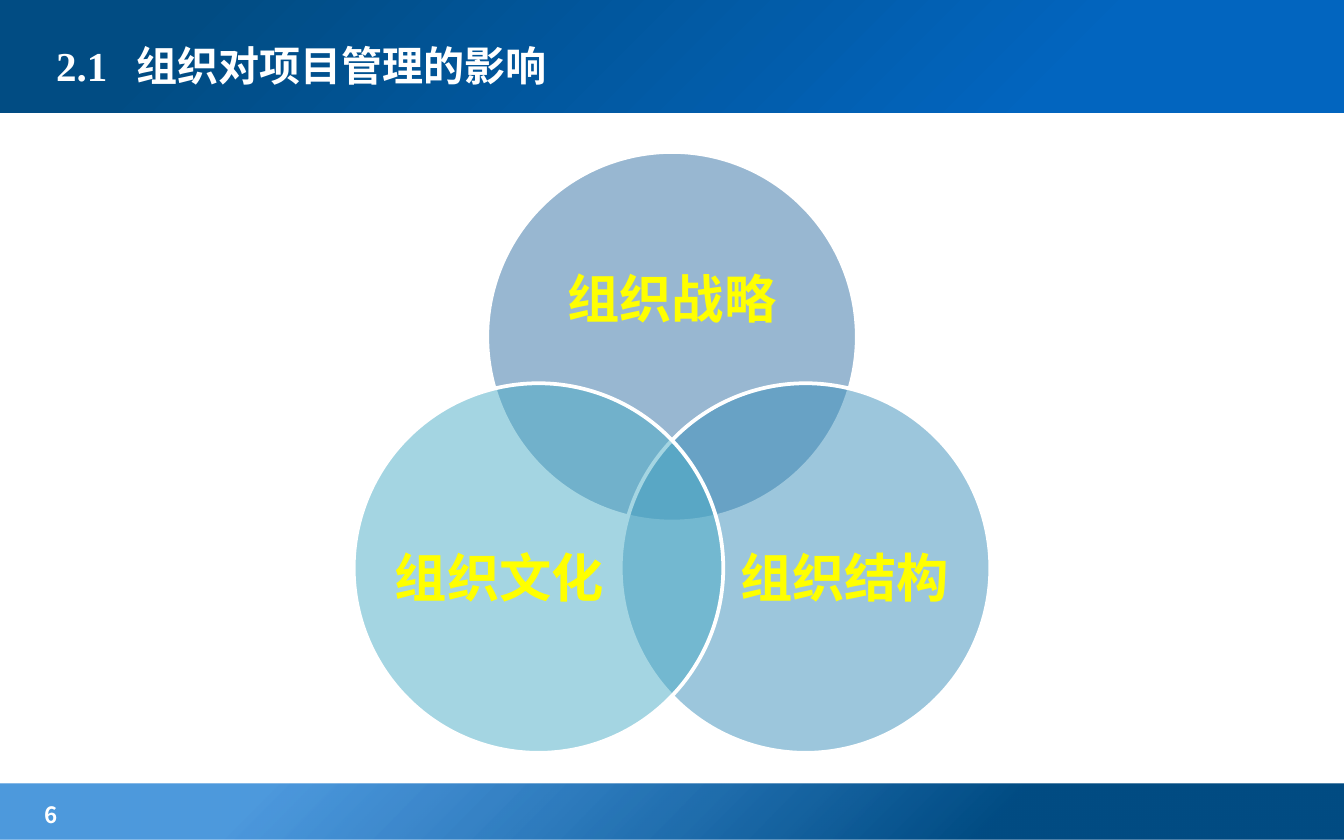
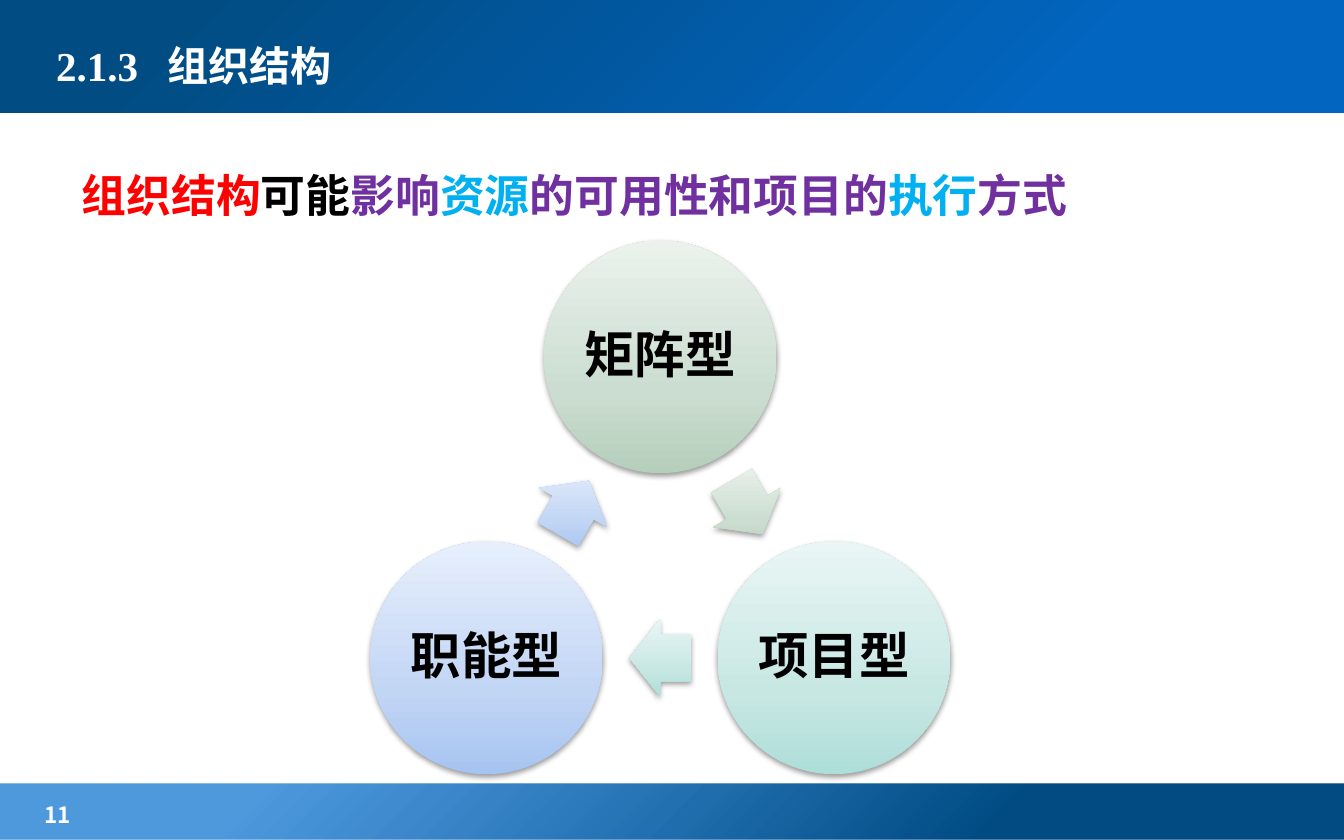
from dataclasses import dataclass
from math import cos, radians, sin
from typing import NamedTuple

from lxml.etree import SubElement
from pptx import Presentation
from pptx.dml.color import RGBColor
from pptx.enum.shapes import MSO_SHAPE
from pptx.enum.text import MSO_ANCHOR, PP_ALIGN
from pptx.oxml.ns import qn
from pptx.util import Pt

WIDTH, HEIGHT = 720, 450
WHITE, BLACK, YELLOW = "FFFFFF", "000000", "FFFF00"
RED, PURPLE, SKY = "FF0000", "7030A0", "00B0F0"
SERIF, SANS, HAN = "Times New Roman", "Lato", "Noto Sans CJK SC"


class Box(NamedTuple):
    left: float
    top: float
    width: float
    height: float

    def lengths(self):
        return [Pt(value) for value in self]


class Point(NamedTuple):
    x: float
    y: float

    def around(self, width: float, height: float) -> Box:
        return Box(self.x - width / 2, self.y - height / 2, width, height)

    def toward(self, angle: float, radius: float) -> "Point":
        turn = radians(angle)
        return Point(self.x + radius * cos(turn), self.y + radius * sin(turn))


class Stop(NamedTuple):
    place: int
    color: str
    alpha: int = 100


class Run(NamedTuple):
    text: str
    color: str


@dataclass(frozen=True)
class Band:
    box: Box
    stops: tuple[Stop, ...]


@dataclass(frozen=True)
class Ring:
    """A see-through circle whose label sits off its centre."""
    label: str
    color: str
    shift: Point
    room: Point


@dataclass(frozen=True)
class Node:
    label: str
    shades: tuple[str, str, str]


BANDS = (
    Band(Box(0, 420, WIDTH, 30), (Stop(26, "014C83"), Stop(80, "026DCE", 70))),
    Band(Box(0, -2, WIDTH, 62.5), (Stop(21, "0265BF"), Stop(86, "014C83"))),
)
RINGS = (
    Ring("组织战略", "3371A4", Point(0, -19), Point(145, 89)),
    Ring("组织结构", "3A8FBA", Point(21, 6.5), Point(119, 109)),
    Ring("组织文化", "4BACC6", Point(-21, 6.5), Point(119, 109)),
)
NODES = (
    Node("矩阵型", ("B5CFBB", "CBDDD0", "EBF2ED")),
    Node("项目型", ("AEDED8", "C7E7E3", "E9F6F5")),
    Node("职能型", ("A6C4F1", "C1D5F4", "E7EFFC")),
)
CLAIM = (
    Run("组织结构", RED), Run("可能", BLACK), Run("影响", PURPLE),
    Run("资源", SKY), Run("的可用性和项目的", PURPLE),
    Run("执行", SKY), Run("方式", PURPLE),
)


def rgb(color: str) -> RGBColor:
    return RGBColor.from_string(color)


def add_node(parent, tag: str, **values):
    return SubElement(parent, qn(f"a:{tag}"),
                      {key: str(value) for key, value in values.items()})


def add_color(parent, color: str, alpha: int):
    add_node(add_node(parent, "srgbClr", val=color), "alpha", val=alpha * 1000)


def add_text(slide, box: Box, runs, *, size: float, color: str = WHITE,
             font: str = SERIF, align=PP_ALIGN.LEFT, anchor=MSO_ANCHOR.TOP,
             inset: float | None = None, spacing: float = 1, tab: float = 0):
    """Write one bold paragraph, from a plain string or a series of runs."""
    frame = slide.shapes.add_textbox(*box.lengths()).text_frame
    frame.word_wrap, frame.vertical_anchor = True, anchor
    if inset is not None:
        frame.margin_left = frame.margin_right = Pt(inset)
        frame.margin_top = frame.margin_bottom = Pt(inset)
    line = frame.paragraphs[0]
    if tab:
        stops = add_node(line._p.get_or_add_pPr(), "tabLst")
        add_node(stops, "tab", pos=Pt(tab), algn="l")
    line.alignment, line.line_spacing = align, spacing
    for part in [Run(runs, color)] if isinstance(runs, str) else runs:
        run = line.add_run()
        run.text = part.text
        run.font.size, run.font.bold, run.font.name = Pt(size), True, font
        run.font.color.rgb = rgb(part.color)
        add_node(run._r.get_or_add_rPr(), "ea", typeface=HAN)


def add_label(slide, box: Box, label: str, **style):
    add_text(slide, box, label, align=PP_ALIGN.CENTER,
             anchor=MSO_ANCHOR.MIDDLE, spacing=0.9, **style)


def add_shape(slide, kind, box: Box):
    shape = slide.shapes.add_shape(kind, *box.lengths())
    shape.shadow.inherit = False
    shape.line.fill.background()
    return shape


def blend(shape, stops, radial: bool = False):
    """Fill with a gradient, from the lower right corner or from the bottom."""
    shape.fill.gradient()
    fill = shape.element.spPr.find(qn("a:gradFill"))
    for child in list(fill):
        fill.remove(child)
    fill.set("rotWithShape", "0")
    series = add_node(fill, "gsLst")
    for stop in stops:
        add_color(add_node(series, "gs", pos=stop.place * 1000),
                  stop.color, stop.alpha)
    if radial:
        add_node(add_node(fill, "path", path="circle"),
                 "fillToRect", l=100000, t=100000)
    else:
        add_node(fill, "lin", ang=270 * 60000, scaled=0)


def cast_shade(shape):
    effects = shape.element.spPr.find(qn("a:effectLst"))
    shade = add_node(effects, "outerShdw", blurRad=Pt(3.1), dist=Pt(1.6),
                     dir=90 * 60000, rotWithShape=0)
    add_color(shade, BLACK, 38)


def start_slide(deck, title: str, tab: float, number: int):
    slide = deck.slides.add_slide(deck.slide_layouts[6])
    for band in BANDS:
        shape = add_shape(slide, MSO_SHAPE.RECTANGLE, band.box)
        blend(shape, band.stops, radial=True)
    add_text(slide, Box(16.5, 425.5, 110, 19), str(number), size=12, font=HAN)
    add_text(slide, Box(23, 9.4, 524, 51), title, size=22,
             anchor=MSO_ANCHOR.MIDDLE, tab=tab)
    return slide


def draw_rings(slide):
    hub, size = Point(360, 263), 198
    for index, ring in enumerate(RINGS):
        spot = hub.toward(index * 120 - 90, 82.6)
        shape = add_shape(slide, MSO_SHAPE.OVAL, spot.around(size, size))
        shape.fill.solid()
        shape.fill.fore_color.rgb = rgb(ring.color)
        tint = shape.element.spPr.find(qn("a:solidFill"))[0]
        add_node(tint, "alpha", val=50000)
        shape.line.color.rgb, shape.line.width = rgb(WHITE), Pt(2)
        heart = Point(spot.x + ring.shift.x, spot.y + ring.shift.y)
        add_label(slide, heart.around(*ring.room), ring.label, size=28,
                  color=YELLOW, font=SANS, inset=0)


def draw_cycle(slide):
    hub, size, reach = Point(353.7, 298.7), 124.6, 107.5
    for index, node in enumerate(NODES):
        angle = index * 120 - 90
        stops = [Stop(*pair) for pair in zip((0, 35, 100), node.shades)]
        spot = hub.toward(angle, reach)
        disc = add_shape(slide, MSO_SHAPE.OVAL, spot.around(size, size))
        between = hub.toward(angle + 60, reach / 2)
        arrow = add_shape(slide, MSO_SHAPE.RIGHT_ARROW, between.around(33, 42))
        arrow.adjustments[0], arrow.adjustments[1] = 0.6, 0.5
        arrow.rotation = angle + 150
        for shape in (disc, arrow):
            blend(shape, stops)
            cast_shade(shape)
        add_label(slide, spot.around(88, 88), node.label, size=27,
                  color=BLACK, inset=3)


def main():
    deck = Presentation()
    deck.slide_width, deck.slide_height = Pt(WIDTH), Pt(HEIGHT)

    draw_rings(start_slide(deck, "2.1\t组织对项目管理的影响", 43, 6))

    slide = start_slide(deck, "2.1.3\t组织结构", 59.5, 11)
    add_text(slide, Box(36.7, 72, 646.5, 281), CLAIM, size=24, spacing=1.5)
    draw_cycle(slide)

    deck.save("out.pptx")


if __name__ == "__main__":
    main()
